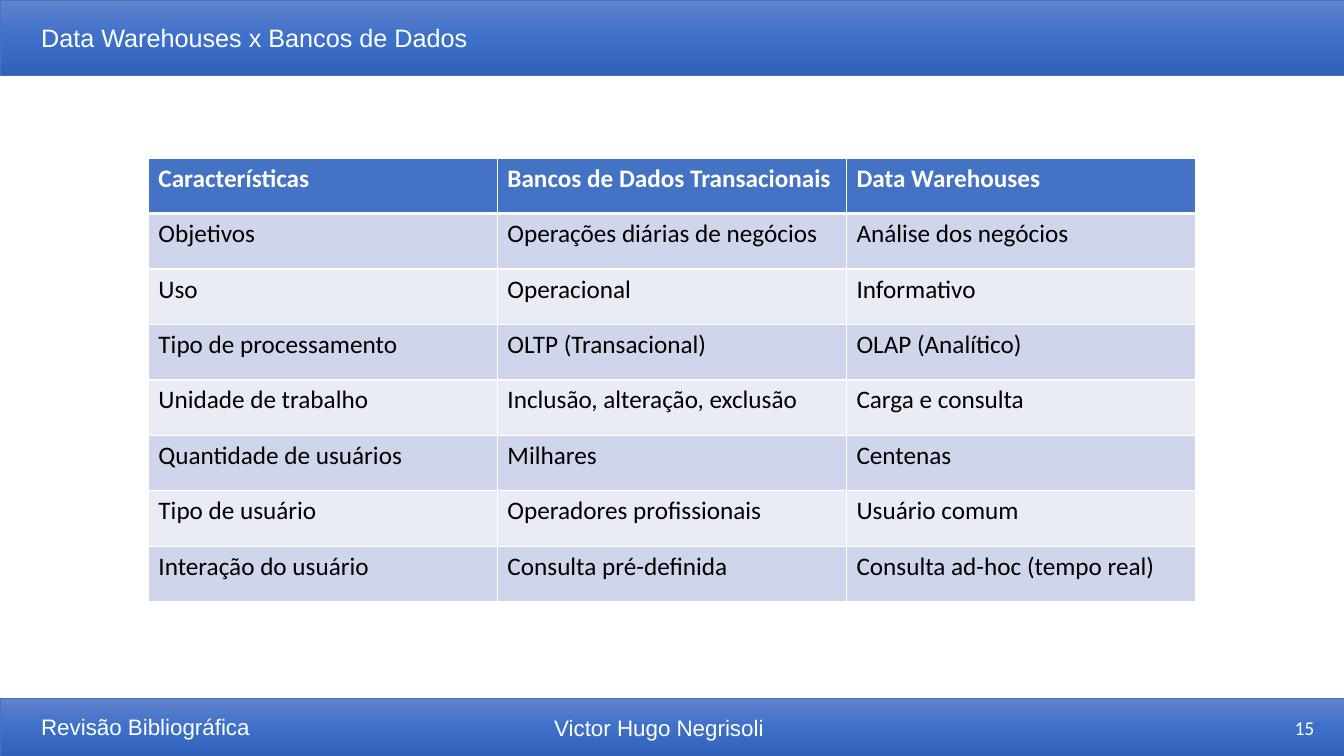
from lxml import etree
from pptx import Presentation
from pptx import util as u
from pptx.dml.color import RGBColor
from pptx.enum import shapes, text
from pptx.oxml import ns

COLORS = {
    "white": "FFFFFF", "black": "000000", "blue": "4472C4",
    "bar_top": "6183CB", "bar_middle": "3E70CA", "bar_bottom": "3062BB",
    "odd_row": "CFD5EA", "even_row": "E9EBF5",
}
WIDTH, HEIGHT = 960, 540
MARGIN = 22.3

ROWS = [
    ("Características", "Bancos de Dados Transacionais", "Data Warehouses"),
    ("Objetivos", "Operações diárias de negócios", "Análise dos negócios"),
    ("Uso", "Operacional", "Informativo"),
    ("Tipo de processamento", "OLTP (Transacional)", "OLAP (Analítico)"),
    ("Unidade de trabalho", "Inclusão, alteração, exclusão", "Carga e consulta"),
    ("Quantidade de usuários", "Milhares", "Centenas"),
    ("Tipo de usuário", "Operadores profissionais", "Usuário comum"),
    ("Interação do usuário", "Consulta pré-definida", "Consulta ad-hoc (tempo real)"),
]


def rgb(name):
    return RGBColor.from_string(COLORS[name])


def points(*lengths):
    return [u.Pt(length) for length in lengths]


def add_element(parent, tag, **attributes):
    return etree.SubElement(parent, ns.qn(tag), attributes)


def write(frame, words, color="white", align=text.PP_ALIGN.LEFT, **font_format):
    paragraph = frame.paragraphs[0]
    paragraph.alignment = align
    run = paragraph.add_run()
    run.text = words
    run.font.color.rgb = rgb(color)
    for name, value in font_format.items():
        setattr(run.font, name, value)


def add_label(slide, box, words, size, font="Arial", align=text.PP_ALIGN.LEFT,
              anchor=text.MSO_ANCHOR.TOP):
    frame = slide.shapes.add_textbox(*points(*box)).text_frame
    settings = {"word_wrap": True, "vertical_anchor": anchor}
    for name, value in settings.items():
        setattr(frame, name, value)
    write(frame, words, align=align, size=u.Pt(size), name=font)


def add_bar(slide, box):
    bar = slide.shapes.add_shape(shapes.MSO_SHAPE.RECTANGLE, *points(*box))
    bar.shadow.inherit = False
    bar.line.color.rgb = rgb("blue")
    bar.line.width = u.Pt(0.5)
    bar.fill.gradient()
    bar.fill.gradient_angle = 270
    # Three gradient stops, top to bottom
    stops = bar.fill._fill._gradFill.find(ns.qn("a:gsLst"))
    for stop in list(stops):
        stops.remove(stop)
    for position, name in enumerate(("bar_top", "bar_middle", "bar_bottom")):
        stop = add_element(stops, "a:gs", pos=str(position * 50000))
        add_element(stop, "a:srgbClr", val=COLORS[name])


def add_header(slide, box):
    left, top, width, height = box
    add_bar(slide, box)
    add_label(slide, (left + MARGIN, top + 12.2, 830, 29),
              "Data Warehouses x Bancos de Dados", 18)


def add_footer(slide, box):
    left, top, width, height = box
    add_bar(slide, box)
    add_label(slide, (left + MARGIN, top + 7.2, 168.5, 26.6), "Revisão Bibliográfica", 16)
    add_label(slide, (left + 388.8, top + 7.9, 183, 26.6), "Victor Hugo Negrisoli", 16)
    add_label(slide, (left + width - 230, top + 6.5, 216, 28.8), "15", 14, "Calibri",
              text.PP_ALIGN.RIGHT, text.MSO_ANCHOR.MIDDLE)


def add_borders(cell, row_index):
    properties = cell._tc.get_or_add_tcPr()
    widths = {"L": 1, "R": 1, "T": 3 if row_index == 1 else 1,
              "B": 3 if row_index == 0 else 1}
    for side, width in widths.items():
        line = add_element(properties, f"a:ln{side}", w=str(u.Pt(width)))
        fill = add_element(line, "a:solidFill")
        add_element(fill, "a:srgbClr", val=COLORS["white"])


def add_comparison(slide, box):
    frame = slide.shapes.add_table(len(ROWS), len(ROWS[0]), *points(*box))
    table = frame.table
    for column in table.columns:
        column.width = u.Pt(box[2] / len(ROWS[0]))
    for row_index, words in enumerate(ROWS):
        table.rows[row_index].height = u.Pt(box[3] / len(ROWS))
        is_header = row_index == 0
        band = "odd_row" if row_index % 2 else "even_row"
        for column_index, entry in enumerate(words):
            cell = table.cell(row_index, column_index)
            add_borders(cell, row_index)
            cell.fill.solid()
            cell.fill.fore_color.rgb = rgb("blue" if is_header else band)
            write(cell.text_frame, entry, "white" if is_header else "black",
                  size=u.Pt(18), name="Calibri", bold=is_header)


def main():
    presentation = Presentation()
    presentation.slide_width, presentation.slide_height = points(WIDTH, HEIGHT)
    slide = presentation.slides.add_slide(presentation.slide_layouts[6])
    add_header(slide, (0, 0, WIDTH, 54))
    add_footer(slide, (0, 499, WIDTH, 41))
    add_comparison(slide, (106, 113, 748, 316.8))
    presentation.save("out.pptx")


if __name__ == "__main__":
    main()
